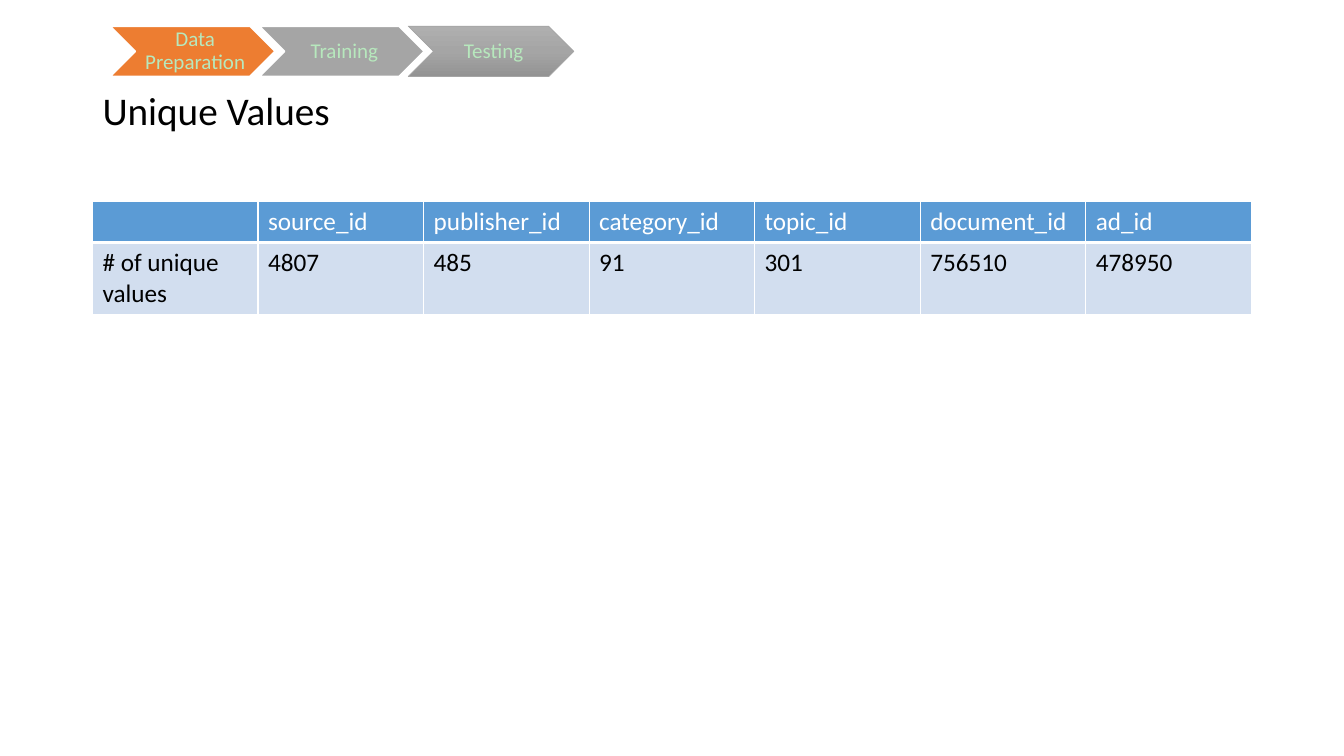
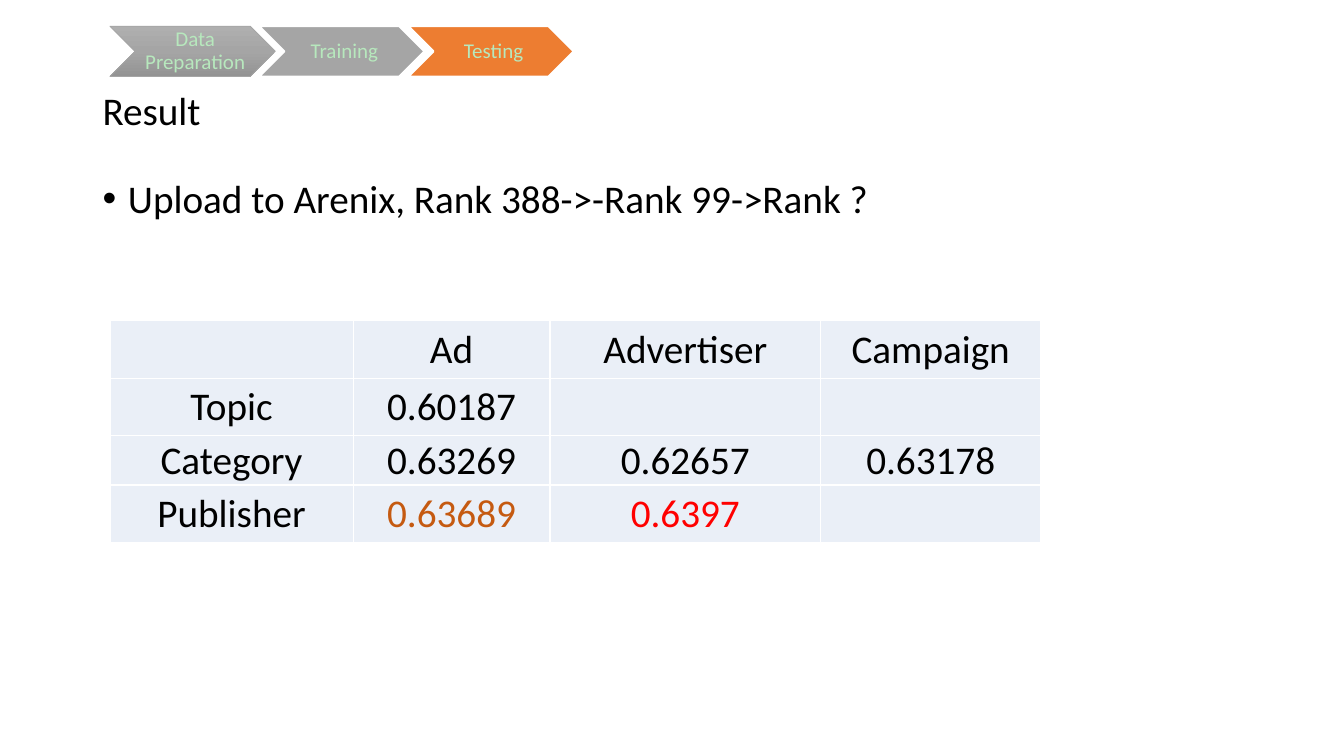
"""Build two slides: unique value counts and test results, under a step tracker."""
import copy

import lxml.etree
import pptx
import pptx.dml.color
import pptx.enum.shapes
import pptx.enum.text
import pptx.oxml.ns
import pptx.util

Cm = pptx.util.Cm
Pt = pptx.util.Pt
RGBColor = pptx.dml.color.RGBColor
ALIGN = pptx.enum.text.PP_ALIGN
ANCHOR = pptx.enum.text.MSO_ANCHOR
qn = pptx.oxml.ns.qn

FONT = "Calibri"
WHITE = RGBColor(0xFF, 0xFF, 0xFF)
BLACK = RGBColor(0x00, 0x00, 0x00)
MINT = RGBColor(0xB7, 0xE8, 0xBD)
ORANGE = RGBColor(0xED, 0x7D, 0x31)
GRAY = RGBColor(0xA5, 0xA5, 0xA5)
LIGHT_GRAY = RGBColor(0xAF, 0xAF, 0xAF)
DARK_GRAY = RGBColor(0x93, 0x93, 0x93)
BLUE = RGBColor(0x5B, 0x9B, 0xD5)
PALE_BLUE = RGBColor(0xD2, 0xDE, 0xEF)
FAINT_BLUE = RGBColor(0xEA, 0xEF, 0xF7)
RUST = RGBColor(0xC5, 0x5A, 0x11)
RED = RGBColor(0xFF, 0x00, 0x00)

LEFT, WIDTH = Cm(2.33), Cm(29.21)
STEPS = ["Data Preparation", "Training", "Testing"]


def write(frame, text, size, color, align=ALIGN.LEFT):
    para = frame.paragraphs[0]
    para.alignment = align
    span = para.add_run()
    span.text = text
    span.font.name = FONT
    span.font.size = Pt(size)
    span.font.bold = False
    span.font.color.rgb = color
    return para


def format_cell(cell, fill, top=1, bottom=1):
    cell.fill.solid()
    cell.fill.fore_color.rgb = fill
    properties = cell._tc.get_or_add_tcPr()
    edges = {"lnL": 1, "lnR": 1, "lnT": top, "lnB": bottom}
    for position, (edge, points) in enumerate(edges.items()):
        line = lxml.etree.Element(qn(f"a:{edge}"), w=str(Pt(points)))
        solid = lxml.etree.SubElement(line, qn("a:solidFill"))
        lxml.etree.SubElement(solid, qn("a:srgbClr"), val=str(WHITE))
        properties.insert(position, line)


deck = pptx.Presentation()
deck.slide_width, deck.slide_height = Cm(33.87), Cm(19.05)
values_page = deck.slides.add_slide(deck.slide_layouts[5])
result_page = deck.slides.add_slide(deck.slide_layouts[1])

for page, heading, active, shaded in [
    (values_page, "Unique Values", "Data Preparation", "Testing"),
    (result_page, "Result", "Testing", "Data Preparation"),
]:
    title = page.shapes.title
    title.left, title.top, title.width, title.height = LEFT, Cm(1.01), WIDTH, Cm(3.68)
    title.text_frame.vertical_anchor = ANCHOR.MIDDLE
    write(title.text_frame, heading, 28, BLACK).line_spacing = 0.9

    for index, step in enumerate(STEPS):
        chevron = page.shapes.add_shape(
            pptx.enum.shapes.MSO_SHAPE.CHEVRON,
            Cm(2.77 + 3.76 * index), Cm(0.66), Cm(4.17), Cm(1.27))
        chevron.shadow.inherit = False
        if step == shaded:
            chevron.fill.gradient()
            chevron.fill.gradient_angle = 270
            stop_list = chevron._element.spPr.find(f".//{qn('a:gsLst')}")
            stop_list.append(copy.deepcopy(stop_list[0]))
            shades = [(0, LIGHT_GRAY), (0.5, GRAY), (1, DARK_GRAY)]
            for stop, (position, shade) in zip(chevron.fill.gradient_stops, shades):
                stop.position = position
                stop.color.rgb = shade
        else:
            chevron.fill.solid()
            chevron.fill.fore_color.rgb = ORANGE if step == active else GRAY
        chevron.line.color.rgb = GRAY if step == shaded else WHITE
        chevron.line.width = Pt(0.5 if step == shaded else 1.5)
        label = chevron.text_frame
        label.word_wrap = True
        label.vertical_anchor = ANCHOR.MIDDLE
        label.margin_left = Cm(0.18)
        label.margin_right = label.margin_top = label.margin_bottom = Cm(0.05)
        write(label, step, 15, MINT, ALIGN.CENTER).line_spacing = 0.9

unique_counts = [
    ["", "source_id", "publisher_id", "category_id", "topic_id", "document_id", "ad_id"],
    ["# of unique values", "4807", "485", "91", "301", "756510", "478950"],
]
counts_table = values_page.shapes.add_table(
    2, 7, LEFT, Cm(5.08), WIDTH, Cm(2.83)).table
counts_table.rows[0].height, counts_table.rows[1].height = Cm(1.03), Cm(1.8)
for row, texts in enumerate(unique_counts):
    for column, text in enumerate(texts):
        cell = counts_table.cell(row, column)
        if row == 0:
            format_cell(cell, BLUE, bottom=3)
        else:
            format_cell(cell, PALE_BLUE, top=3)
        if text:
            write(cell.text_frame, text, 18, BLACK if row else WHITE)

body = result_page.placeholders[1]
body.left, body.top, body.width, body.height = LEFT, Cm(4.39), WIDTH, Cm(12.09)
bullet = write(body.text_frame, "Upload to Arenix, Rank 388->-Rank 99->Rank ?", 28, BLACK)
bullet.line_spacing = 0.9
bullet.space_before = Pt(10)
indent = bullet._p.get_or_add_pPr()
indent.set("marL", str(Cm(0.64)))
indent.set("indent", str(-Cm(0.64)))

scores = [
    ["", "Ad", "Advertiser", "Campaign"],
    ["Topic", "0.60187", "", ""],
    ["Category", "0.63269", "0.62657", "0.63178"],
    ["Publisher", "0.63689", "0.6397", ""],
]
highlights = {"0.63689": RUST, "0.6397": RED}
scores_table = result_page.shapes.add_table(
    4, 4, Cm(2.77), Cm(8.08), Cm(23.46), Cm(5.59)).table
scores_table.first_row = False
scores_table.horz_banding = False
for column, width in zip(scores_table.columns, [6.13, 4.96, 6.82, 5.55]):
    column.width = Cm(width)
for row, height in zip(scores_table.rows, [1.45, 1.45, 1.24, 1.45]):
    row.height = Cm(height)
for row, texts in enumerate(scores):
    for column, text in enumerate(texts):
        cell = scores_table.cell(row, column)
        format_cell(cell, FAINT_BLUE)
        if text:
            cell.vertical_anchor = ANCHOR.MIDDLE
            cell.margin_left = cell.margin_right = cell.margin_top = Cm(0.03)
            cell.margin_bottom = 0
            write(cell.text_frame, text, 28, highlights.get(text, BLACK), ALIGN.CENTER)

deck.save("out.pptx")
